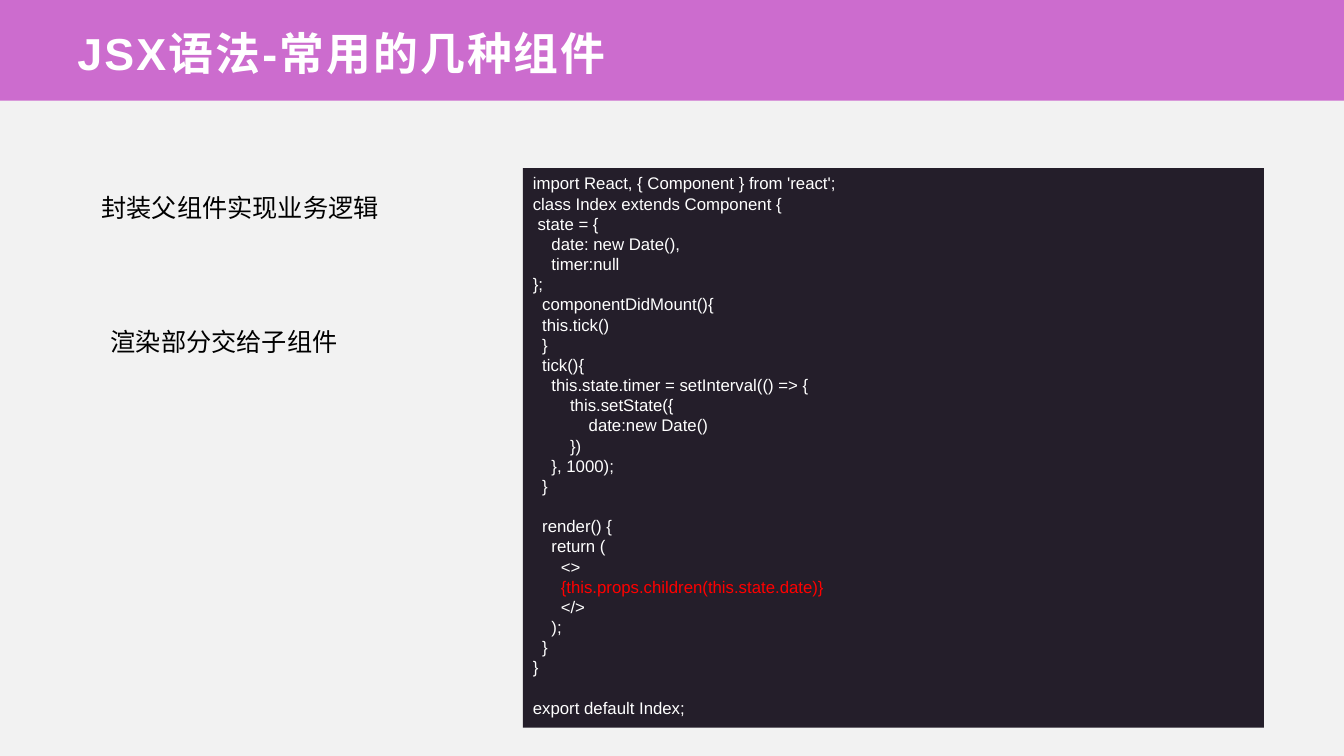
"""Build the slide on common JSX component patterns."""
import dataclasses
import typing

import lxml.etree
import pptx
import pptx.dml.color
import pptx.enum.shapes
import pptx.enum.text
import pptx.oxml.ns
import pptx.slide
import pptx.util

Cm = pptx.util.Cm
Color = pptx.dml.color.RGBColor
Anchor = pptx.enum.text.MSO_ANCHOR

PALE = Color(0xF2, 0xF2, 0xF2)
PINK = Color(0xCC, 0x6C, 0xCE)
DARK = Color(0x24, 0x1E, 0x2A)
WHITE = Color(0xFF, 0xFF, 0xFF)
BLACK = Color(0x00, 0x00, 0x00)
RED = Color(0xFF, 0x00, 0x00)

WIDTH = 33.87
FONT = "Arial"
HOT = "this.props.children"
CODE = """import React, { Component } from 'react';
class Index extends Component {
 state = {
    date: new Date(),
    timer:null
};
  componentDidMount(){
  this.tick()
  }
  tick(){
    this.state.timer = setInterval(() => {
        this.setState({
            date:new Date()
        })
    }, 1000);
  }

  render() {
    return (
      <>
      {this.props.children(this.state.date)}
      </>
    );
  }
}

export default Index;"""


@dataclasses.dataclass(frozen=True)
class Panel:
    left: float
    top: float
    width: float
    height: float
    fill: Color
    text: str = ""


@dataclasses.dataclass(frozen=True)
class Label:
    left: float
    top: float
    width: float
    height: float
    text: str
    size: int = 18
    color: Color = BLACK
    bold: bool = False
    track: int = 0
    anchor: Anchor = Anchor.TOP


PANELS = (
    Panel(0, 0, WIDTH, 2.54, PINK),
    Panel(13.18, 4.24, 18.67, 14.1, DARK, CODE),
)
LABELS = (
    Label(1.7, 0.43, 30.48, 1.7, "JSX语法-常用的几种组件", 32, WHITE, True, 150, Anchor.BOTTOM),
    Label(2.31, 4.72, 9.53, 1.02, "封装父组件实现业务逻辑"),
    Label(2.54, 8.1, 9.09, 1.02, "渲染部分交给子组件"),
)


def place(item: typing.Union[Panel, Label]) -> tuple[Cm, Cm, Cm, Cm]:
    return Cm(item.left), Cm(item.top), Cm(item.width), Cm(item.height)


def draw_panel(slide: pptx.slide.Slide, panel: Panel) -> None:
    shape = slide.shapes.add_shape(pptx.enum.shapes.MSO_SHAPE.RECTANGLE, *place(panel))
    shape.shadow.inherit = False
    shape.fill.solid()
    shape.fill.fore_color.rgb = panel.fill
    shape.line.fill.background()
    if not panel.text:
        return
    frame = shape.text_frame
    frame.word_wrap = True
    frame.vertical_anchor = Anchor.TOP
    frame.text = panel.text
    size = pptx.util.Pt(12)
    for line in frame.paragraphs:
        line.alignment = pptx.enum.text.PP_ALIGN.LEFT
        for run in line.runs:
            run.font.name = FONT
            run.font.size = size
            run.font.color.rgb = RED if HOT in run.text else WHITE
        if not line.runs:
            tail = lxml.etree.SubElement(line._p, pptx.oxml.ns.qn("a:endParaRPr"))
            tail.set("sz", str(size.centipoints))


def draw_label(slide: pptx.slide.Slide, label: Label) -> None:
    frame = slide.shapes.add_textbox(*place(label)).text_frame
    frame.word_wrap = True
    frame.vertical_anchor = label.anchor
    frame.text = label.text
    run = frame.paragraphs[0].runs[0]
    run.font.name = FONT
    run.font.size = pptx.util.Pt(label.size)
    run.font.bold = label.bold
    run.font.color.rgb = label.color
    if label.track:
        run._r.get_or_add_rPr().set("spc", str(label.track))


def main() -> None:
    deck = pptx.Presentation()
    deck.slide_width, deck.slide_height = Cm(WIDTH), Cm(19.05)
    slide = deck.slides.add_slide(deck.slide_layouts[6])
    slide.background.fill.solid()
    slide.background.fill.fore_color.rgb = PALE
    for panel in PANELS:
        draw_panel(slide, panel)
    for label in LABELS:
        draw_label(slide, label)
    deck.save("out.pptx")


if __name__ == "__main__":
    main()
